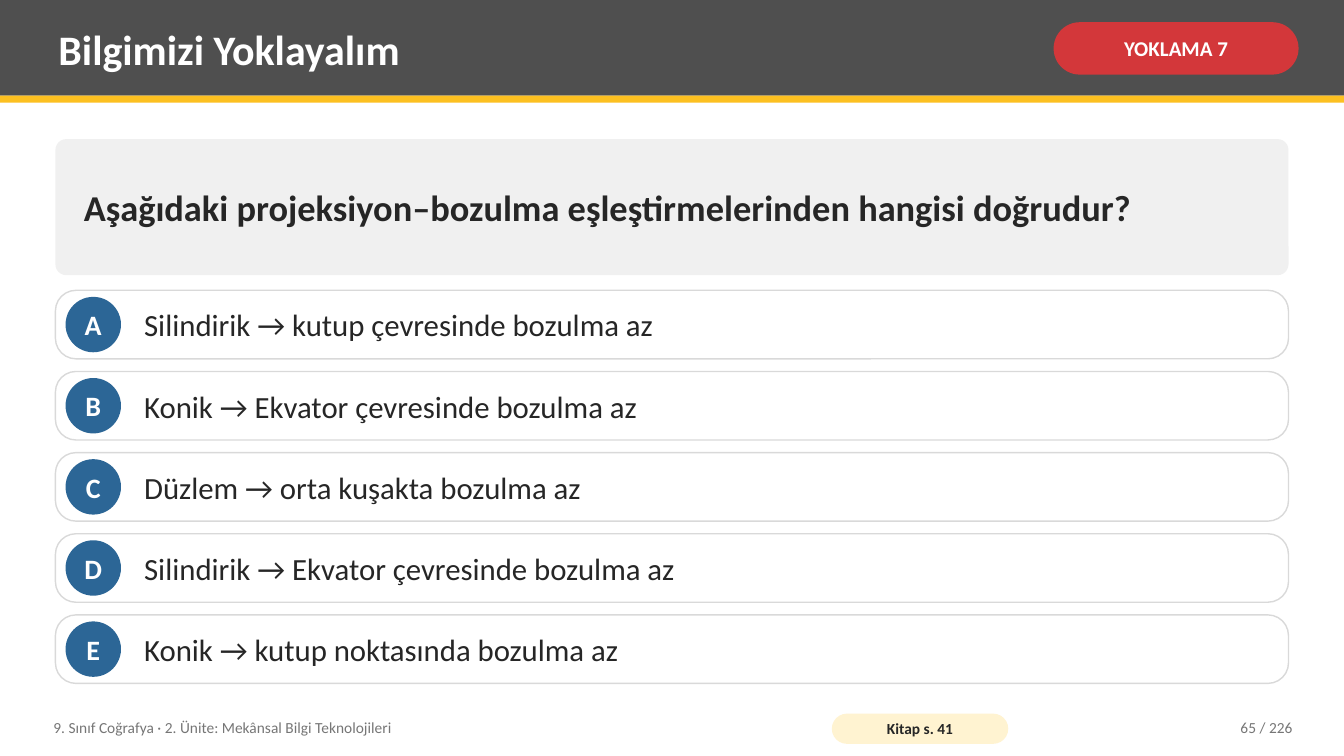
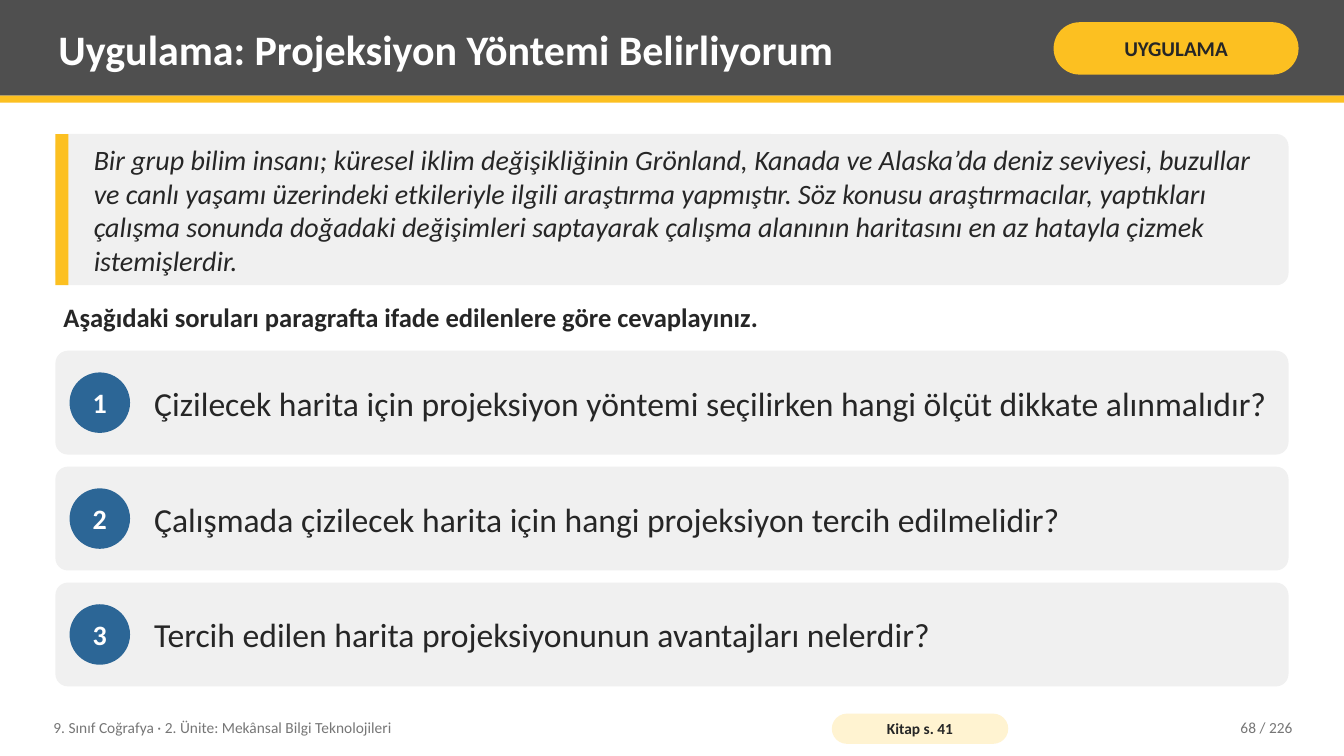
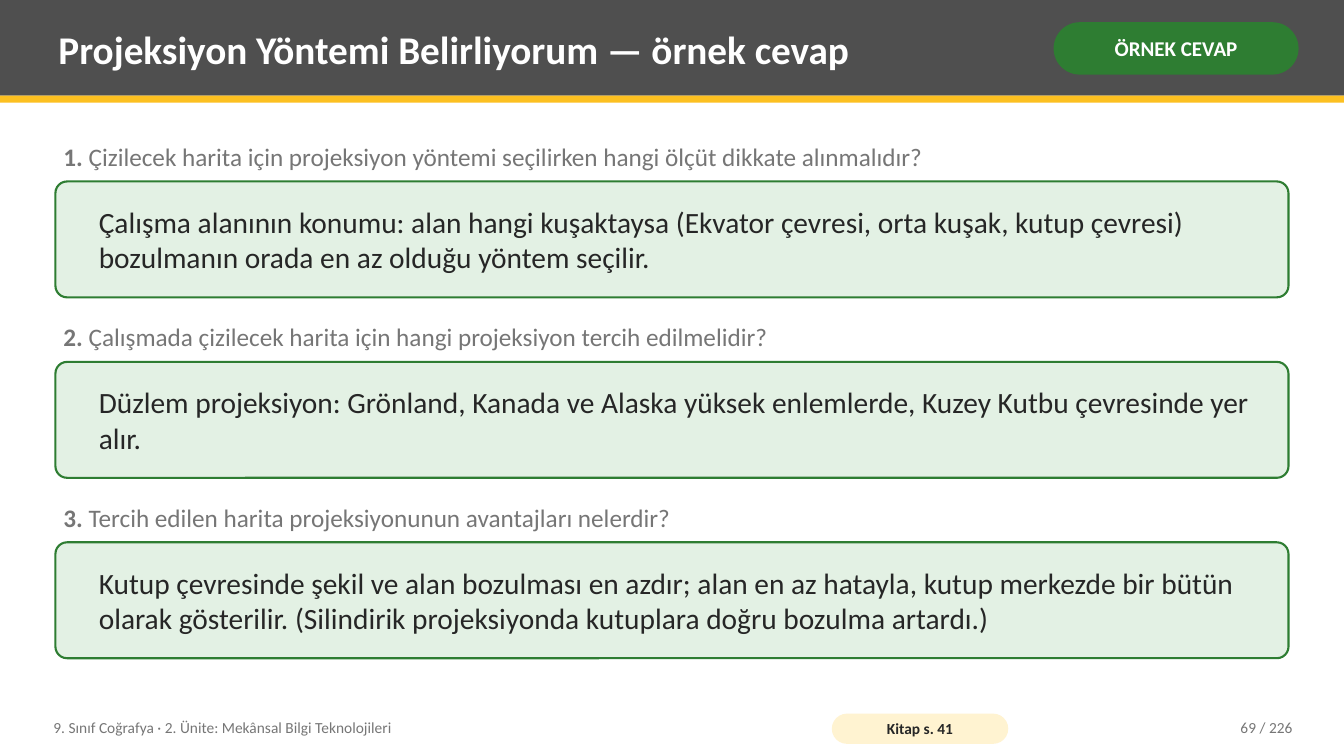
from collections import namedtuple

from pptx import Presentation
from pptx import util as u
from pptx.dml.color import RGBColor
from pptx.enum import shapes, text

WHITE = RGBColor(0xFF, 0xFF, 0xFF)
INK = RGBColor(0x26, 0x26, 0x26)
MUTED = RGBColor(0x76, 0x76, 0x76)
CHARCOAL = RGBColor(0x4F, 0x4F, 0x4F)
PANEL = RGBColor(0xF0, 0xF0, 0xF0)
OUTLINE = RGBColor(0xD9, 0xD9, 0xD9)
YELLOW = RGBColor(0xFC, 0xC0, 0x21)
CREAM = RGBColor(0xFF, 0xF3, 0xD1)
RED = RGBColor(0xD3, 0x37, 0x3A)
BLUE = RGBColor(0x2C, 0x66, 0x96)
GREEN = RGBColor(0x2E, 0x7D, 0x32)
PALE_GREEN = RGBColor(0xE3, 0xF1, 0xE4)

FONT = "Calibri"
SLIDE_WIDTH, SLIDE_HEIGHT = 13.33, 7.5
MARGIN = 0.55
CONTENT_WIDTH = SLIDE_WIDTH - 2 * MARGIN
TEXT_INSETS = (0.08, 0.04)

RECT = shapes.MSO_SHAPE.RECTANGLE
ROUNDED = shapes.MSO_SHAPE.ROUNDED_RECTANGLE
OVAL = shapes.MSO_SHAPE.OVAL
LEFT, CENTER, RIGHT = (text.PP_ALIGN.LEFT, text.PP_ALIGN.CENTER,
                       text.PP_ALIGN.RIGHT)

COURSE = "9. Sınıf Coğrafya · 2. Ünite: Mekânsal Bilgi Teknolojileri"
BOOK_PAGE = "Kitap s. 41"
PAGE_COUNT = 226

OPTIONS = [
    "Silindirik → kutup çevresinde bozulma az",
    "Konik → Ekvator çevresinde bozulma az",
    "Düzlem → orta kuşakta bozulma az",
    "Silindirik → Ekvator çevresinde bozulma az",
    "Konik → kutup noktasında bozulma az",
]
SCENARIO = (
    "Bir grup bilim insanı; küresel iklim değişikliğinin Grönland, Kanada ve "
    "Alaska’da deniz seviyesi, buzullar ve canlı yaşamı üzerindeki etkileriyle "
    "ilgili araştırma yapmıştır. Söz konusu araştırmacılar, yaptıkları çalışma "
    "sonunda doğadaki değişimleri saptayarak çalışma alanının haritasını en az "
    "hatayla çizmek istemişlerdir."
)
QUESTIONS = [
    "Çizilecek harita için projeksiyon yöntemi seçilirken hangi ölçüt dikkate alınmalıdır?",
    "Çalışmada çizilecek harita için hangi projeksiyon tercih edilmelidir?",
    "Tercih edilen harita projeksiyonunun avantajları nelerdir?",
]
ANSWERS = [
    "Çalışma alanının konumu: alan hangi kuşaktaysa (Ekvator çevresi, orta kuşak, "
    "kutup çevresi) bozulmanın orada en az olduğu yöntem seçilir.",
    "Düzlem projeksiyon: Grönland, Kanada ve Alaska yüksek enlemlerde, "
    "Kuzey Kutbu çevresinde yer alır.",
    "Kutup çevresinde şekil ve alan bozulması en azdır; alan en az hatayla, kutup "
    "merkezde bir bütün olarak gösterilir. (Silindirik projeksiyonda kutuplara "
    "doğru bozulma artardı.)",
]

Box = namedtuple("Box", "left top width height")


def content_box(top, height):
    return Box(MARGIN, top, CONTENT_WIDTH, height)


def split_rows(box, count, gap):
    """Cut a box into equal rows with a fixed gap between them."""
    height = (box.height - gap * (count - 1)) / count
    return [box._replace(top=box.top + i * (height + gap), height=height)
            for i in range(count)]


def inches(box):
    return [u.Inches(value) for value in box]


def write(shape, words, size, color=INK, bold=False, italic=False, align=LEFT,
          insets=TEXT_INSETS, wrap=True):
    """Fill a shape with one paragraph; words is a string or (string, bold) spans."""
    frame = shape.text_frame
    frame.word_wrap = wrap
    frame.vertical_anchor = text.MSO_ANCHOR.MIDDLE
    frame.margin_left = frame.margin_right = u.Inches(insets[0])
    frame.margin_top = frame.margin_bottom = u.Inches(insets[1])
    para = frame.paragraphs[0]
    para.alignment = align
    for part, is_bold in [(words, bold)] if isinstance(words, str) else words:
        span = para.add_run()
        span.text = part
        span.font.name = FONT
        span.font.size = u.Pt(size)
        span.font.bold = is_bold
        span.font.italic = italic
        span.font.color.rgb = color


def add_text(page, box, words, size, **style):
    write(page.shapes.add_textbox(*inches(box)), words, size, **style)


def add_block(page, kind, box, fill, radius=None, line=None, line_width=1):
    block = page.shapes.add_shape(kind, *inches(box))
    block.shadow.inherit = False
    block.fill.solid()
    block.fill.fore_color.rgb = fill
    if line is None:
        block.line.fill.background()
    else:
        block.line.color.rgb = line
        block.line.width = u.Pt(line_width)
    if radius is not None:
        block.adjustments[0] = radius
    return block


def add_pill(page, box, words, size, fill, color, insets):
    pill = add_block(page, ROUNDED, box, fill, radius=0.5)
    write(pill, words, size, color=color, bold=True, align=CENTER, insets=insets)


def add_header(page, title, title_size, tag, tag_fill, tag_color):
    add_block(page, RECT, Box(0, 0, SLIDE_WIDTH, 0.95), CHARCOAL)
    add_block(page, RECT, Box(0, 0.95, SLIDE_WIDTH, 0.07), YELLOW)
    add_text(page, Box(0.5, 0.07, 9.75, 0.82), title, title_size,
             color=WHITE, bold=True)
    add_pill(page, Box(10.45, 0.22, 2.43, 0.52), tag, 15, tag_fill, tag_color,
             insets=(0.05, 0.02))


def add_footer(page, number):
    add_text(page, Box(0.45, 7.04, 7.6, 0.36), COURSE, 11, color=MUTED)
    add_pill(page, Box(8.25, 7.08, 1.75, 0.3), BOOK_PAGE, 11, CREAM, INK,
             insets=(0.04, 0))
    add_text(page, Box(11.3, 7.04, 1.6, 0.36), f"{number} / {PAGE_COUNT}", 11,
             color=MUTED, align=RIGHT)


def add_page(deck, number, title, tag, tag_fill, tag_color=WHITE, title_size=30):
    page = deck.slides.add_slide(deck.slide_layouts[6])
    add_header(page, title, title_size, tag, tag_fill, tag_color)
    add_footer(page, number)
    return page


def add_badge_row(page, row, label, words, size, badge_size, badge_inset,
                  text_inset, **panel):
    """Draw a rounded panel with a round label at its left and text beside it."""
    add_block(page, ROUNDED, row, **panel)
    badge_box = Box(row.left + badge_inset,
                    row.top + (row.height - badge_size) / 2,
                    badge_size, badge_size)
    badge = add_block(page, OVAL, badge_box, BLUE)
    write(badge, label, 20, color=WHITE, bold=True, align=CENTER,
          insets=(0, 0), wrap=False)
    add_text(page, row._replace(left=row.left + text_inset, width=row.width - 1),
             words, size)


def add_scenario(page, box):
    add_block(page, ROUNDED, box, PANEL, radius=0.08)
    add_block(page, RECT, box._replace(width=0.13), YELLOW)
    add_text(page, box._replace(left=box.left + 0.3, width=box.width - 0.45),
             SCENARIO, 20, italic=True)


def add_answer(page, row, number, question, answer):
    heading_height = 0.5
    add_text(page, row._replace(height=heading_height),
             [(f"{number}.", True), (f" {question}", False)], 18, color=MUTED)
    panel = row._replace(top=row.top + heading_height,
                         height=row.height - heading_height)
    add_block(page, ROUNDED, panel, PALE_GREEN, radius=0.1, line=GREEN,
              line_width=1.5)
    add_text(page, panel._replace(left=panel.left + 0.35,
                                  width=panel.width - 0.55), answer, 21)


def build_quiz(deck):
    page = add_page(deck, 65, "Bilgimizi Yoklayalım", "YOKLAMA 7", RED)
    prompt = add_block(page, ROUNDED, content_box(1.38, 1.35), PANEL, radius=0.08)
    write(prompt, "Aşağıdaki projeksiyon–bozulma eşleştirmelerinden hangisi doğrudur?",
          26, bold=True, insets=(0.25, 0.08))
    rows = split_rows(content_box(2.88, 3.9), len(OPTIONS), gap=0.125)
    for row, letter, option in zip(rows, "ABCDE", OPTIONS):
        add_badge_row(page, row, letter, option, 22, badge_size=0.55,
                      badge_inset=0.1, text_inset=0.8,
                      fill=WHITE, radius=0.3, line=OUTLINE)


def build_activity(deck):
    page = add_page(deck, 68, "Uygulama: Projeksiyon Yöntemi Belirliyorum",
                    "UYGULAMA", YELLOW, tag_color=INK)
    add_scenario(page, content_box(1.33, 1.5))
    add_text(page, content_box(2.9, 0.48),
             "Aşağıdaki soruları paragrafta ifade edilenlere göre cevaplayınız.",
             19, bold=True)
    rows = split_rows(content_box(3.48, 3.33), len(QUESTIONS), gap=0.12)
    for number, (row, question) in enumerate(zip(rows, QUESTIONS), 1):
        add_badge_row(page, row, str(number), question, 24, badge_size=0.6,
                      badge_inset=0.14, text_inset=0.9, fill=PANEL, radius=0.12)


def build_answers(deck):
    page = add_page(deck, 69, "Projeksiyon Yöntemi Belirliyorum — örnek cevap",
                    "ÖRNEK CEVAP", GREEN, title_size=28)
    rows = split_rows(content_box(1.3, 5.23), len(ANSWERS), gap=0.14)
    for number, (row, question, answer) in enumerate(
            zip(rows, QUESTIONS, ANSWERS), 1):
        add_answer(page, row, number, question, answer)


def main():
    deck = Presentation()
    deck.slide_width = u.Inches(SLIDE_WIDTH)
    deck.slide_height = u.Inches(SLIDE_HEIGHT)
    build_quiz(deck)
    build_activity(deck)
    build_answers(deck)
    deck.save("out.pptx")


if __name__ == "__main__":
    main()
